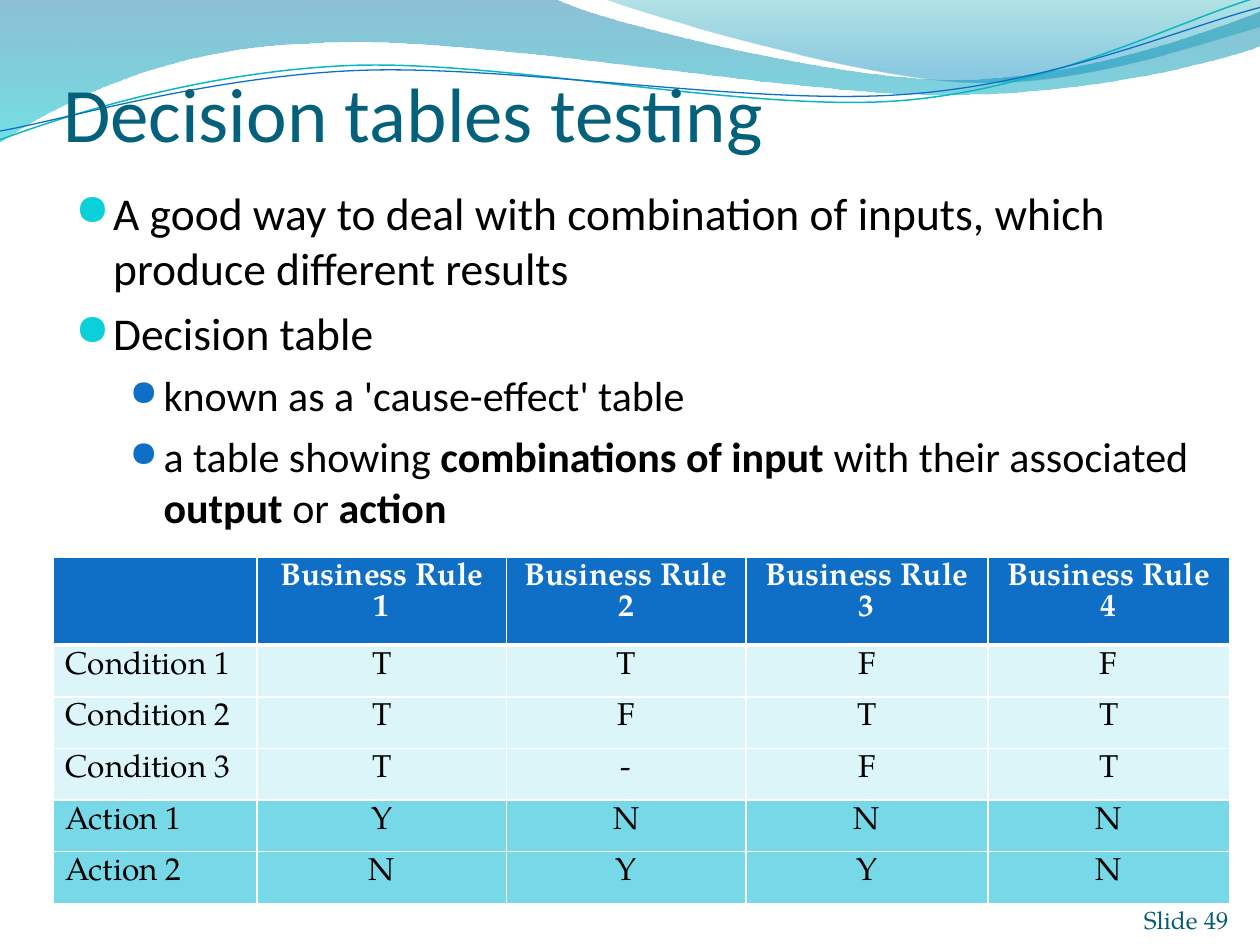
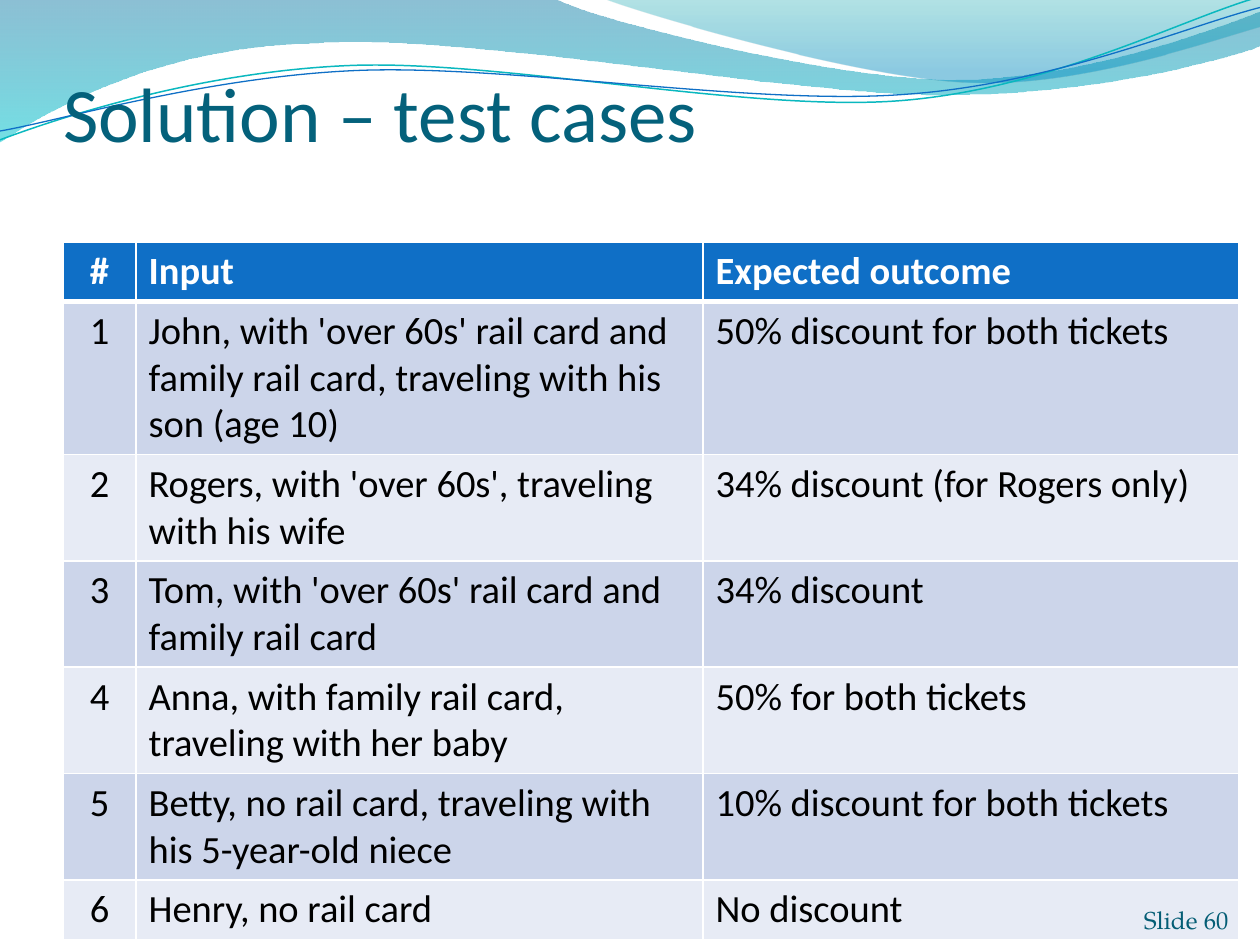
import math
import pptx
import pptx.util
import pptx.dml.color
import pptx.enum.text
import pptx.oxml
import pptx.oxml.ns

PX = 9144
SANS, SERIF = "Calibri", "TeX Gyre Pagella"
BLUE, TEAL, INK, WHITE = "0F6FC6", "0BD0D9", "000000", "FFFFFF"
NS = pptx.oxml.ns.nsdecls("a")
ALIGN = pptx.enum.text.PP_ALIGN
ANCHOR = pptx.enum.text.MSO_ANCHOR
FIT = pptx.enum.text.MSO_AUTO_SIZE
Pt = pptx.util.Pt


def hue(spot, code):
    spot.rgb = pptx.dml.color.RGBColor.from_string(code)


def put(thing, form):
    for key, val in form.items():
        setattr(thing, key, val)


deck = pptx.Presentation()
put(deck, {"slide_width": 1000 * PX, "slide_height": 750 * PX})
head = {"left": 50 * PX, "top": 42 * PX, "width": 917 * PX, "height": 83 * PX}
frame = {"word_wrap": True, "auto_size": FIT.NONE, "vertical_anchor": ANCHOR.BOTTOM,
         "margin_left": 0, "margin_right": 0, "margin_bottom": 0}

pages = []
for name, page in (("Decision tables testing", 49), ("Solution – test cases", 60)):
    slide = deck.slides.add_slide(deck.slide_layouts[5])
    title = slide.shapes.title
    put(title, head)
    title.text = name
    put(title.text_frame, {**frame, "margin_top": 5 * PX})
    line = title.text_frame.paragraphs[0]
    line.alignment = ALIGN.LEFT
    font = line.runs[0].font
    put(font, {"size": Pt(44), "name": SANS})
    hue(font.color, "04617B")
    pages.append((slide, page))
first, last = pages[0][0], pages[1][0]

TILT = 2.7
waves = [
    {"start": (0, 0), "parts": [
        (440, -1), (476, 17, 664, 63, 758, 63), (853, 63, 958, 26, 1000, 9),
        (1001, 36), (983, 44, 870, 76, 746, 75), (622, 75, 382, 28, 257, 34),
        (129, 36, 46, 83, -1, 113), (0, 0)],
     "stops": [(0, "0074A1", 45), (1, "00C6CF", 55)]},
    {"start": (479, -1), "parts": [
        (509, 11, 682, 62, 769, 65), (856, 69, 961, 32, 1000, 21), (1000, 0), (479, -1)],
     "stops": [(0, "00A1A9", 30), (0.8, "008BBF", 45)]},
    {"start": (0, 111), "parts": [
        (48, 93, 158, 57, 277, 52), (395, 47, 593, 89, 713, 80),
        (833, 71, 938, 15, 998, -2)],
     "line": ("0AB8BF", 0.85), "hub": (499, 58)},
    {"start": (0, 104), "parts": [
        (47, 96, 164, 61, 283, 56), (403, 51, 597, 84, 717, 75),
        (836, 67, 941, 21, 1000, 6)],
     "line": (BLUE, 0.75), "hub": (500, 59)},
]
for rank, wave in enumerate(waves):
    dots = [wave["start"]]
    for part in wave["parts"]:
        dots += zip(part[::2], part[1::2])
    if "hub" in wave:
        mid_x, mid_y = wave["hub"]
        cos, sin = math.cos(math.radians(TILT)), math.sin(math.radians(TILT))
        dots = [(mid_x + (x - mid_x) * cos - (y - mid_y) * sin,
                 mid_y + (x - mid_x) * sin + (y - mid_y) * cos) for x, y in dots]
    dots = [(x * PX, y * PX) for x, y in dots]
    pen = first.shapes.build_freeform(*dots[0], scale=1.0)
    pen.add_line_segments(dots[1:], close="stops" in wave)
    shape = pen.convert_to_shape()
    legs = iter(shape.element.xpath(".//a:lnTo"))
    for part in wave["parts"]:
        group = [next(legs) for _ in range(len(part) // 2)]
        if len(group) == 3:
            bend = pptx.oxml.parse_xml(f"<a:cubicBezTo {NS}/>")
            group[0].addprevious(bend)
            for leg in group:
                bend.append(leg[0])
                leg.getparent().remove(leg)
    shape.shadow.inherit = False
    if "stops" in wave:
        shape.line.fill.background()
        shape.fill.gradient()
        shape.fill.gradient_angle = 270
        for stop, (place, code, alpha) in zip(shape.fill.gradient_stops, wave["stops"]):
            stop.position = place
            hue(stop.color, code)
        tints = shape.element.xpath(".//a:gradFill//a:srgbClr")
        for tint, (place, code, alpha) in zip(tints, wave["stops"]):
            tint.append(pptx.oxml.parse_xml(f'<a:alpha {NS} val="{alpha * 1000}"/>'))
    else:
        code, width = wave["line"]
        shape.rotation = 360 - TILT
        shape.fill.background()
        hue(shape.line.color, code)
        shape.line.width = Pt(width)
    shape.element.xpath(".//p:cNvPr")[0].set("id", str(20 + rank))
    deck.slide_master.shapes.element.insert(2 + rank, shape.element)

levels = [
    {"size": 26, "edge": 30, "hang": 30, "dot": TEAL, "scale": 95},
    {"size": 24, "edge": 70, "hang": 27, "dot": BLUE, "scale": 85},
]
points = [
    (0, ["A good way to deal with combination of inputs, which produce different results"]),
    (0, ["Decision table"]),
    (1, ["known as a 'cause-effect' table"]),
    (1, ["a table showing ", "combinations of input", " with their associated ",
         "output", " or ", "action"]),
]
body = first.shapes.add_textbox(50 * PX, 142 * PX, 917 * PX, 575 * PX).text_frame
body.word_wrap = True
for rank, (depth, parts) in enumerate(points):
    look = levels[depth]
    para = body.add_paragraph() if rank else body.paragraphs[0]
    para.level = depth
    props = para._p.get_or_add_pPr()
    props.set("marL", str(look["edge"] * PX))
    props.set("indent", str(-look["hang"] * PX))
    for mark in (f'<a:buClr {NS}><a:srgbClr val="{look["dot"]}"/></a:buClr>',
                 f'<a:buSzPct {NS} val="{look["scale"] * 1000}"/>',
                 f'<a:buFont {NS} typeface="OpenSymbol"/>',
                 f'<a:buChar {NS} char="●"/>'):
        props.append(pptx.oxml.parse_xml(mark))
    para.space_before = Pt(6 if rank else 0)
    for turn, words in enumerate(parts):
        run = para.add_run()
        run.text = words
        put(run.font, {"size": Pt(look["size"]), "name": SANS, "bold": turn % 2 == 1})
        hue(run.font.color, INK)

PALE, DEEP = "DBF5F9", "77D9E8"
ODD, EVEN = "CCD5EA", "E7EBF5"
grids = [
    {"slide": first, "left": 42, "top": 442, "cols": [162, 198, 190, 192, 192],
     "size": 18, "face": SERIF, "mid": {1, 2, 3, 4},
     "fills": [BLUE, PALE, PALE, PALE, DEEP, DEEP],
     "rows": [
         [""] + [f"Business Rule {rule}" for rule in range(1, 5)],
         ["Condition 1", *"TTFF"],
         ["Condition 2", *"TFTT"],
         ["Condition 3", *"T-FT"],
         ["Action 1", *"YNNN"],
         ["Action 2", *"NYYN"]]},
    {"slide": last, "left": 50, "top": 192, "cols": [58, 450, 425],
     "size": 22, "face": SANS, "mid": {0},
     "fills": [BLUE] + [ODD, EVEN] * 3,
     "rows": [
         ["#", "Input", "Expected outcome"],
         ["1", "John, with 'over 60s' rail card and family rail card, traveling with his son (age 10)",
          "50% discount for both tickets"],
         ["2", "Rogers, with 'over 60s', traveling with his wife", "34% discount (for Rogers only)"],
         ["3", "Tom, with 'over 60s' rail card and family rail card", "34% discount"],
         ["4", "Anna, with family rail card, traveling with her baby", "50% for both tickets"],
         ["5", "Betty, no rail card, traveling with his 5-year-old niece",
          "10% discount for both tickets"],
         ["6", "Henry, no rail card", "No discount"]]},
]
for grid in grids:
    rows, cols = grid["rows"], grid["cols"]
    table = grid["slide"].shapes.add_table(
        len(rows), len(cols), grid["left"] * PX, grid["top"] * PX,
        sum(cols) * PX, len(rows) * 41 * PX).table
    table.horz_banding = False
    for col, width in zip(table.columns, cols):
        col.width = width * PX
    for r, row in enumerate(rows):
        for c, words in enumerate(row):
            cell = table.cell(r, c)
            cell.fill.solid()
            hue(cell.fill.fore_color, grid["fills"][r])
            thick = {"L": 1, "R": 1, "T": 3 if r == 1 else 1, "B": 1 if r else 3}
            for spot, (side, width) in enumerate(thick.items()):
                cell._tc.get_or_add_tcPr().insert(spot, pptx.oxml.parse_xml(
                    f'<a:ln{side} {NS} w="{Pt(width)}"><a:solidFill>'
                    f'<a:srgbClr val="{WHITE}"/></a:solidFill></a:ln{side}>'))
            para = cell.text_frame.paragraphs[0]
            para.alignment = ALIGN.CENTER if c in grid["mid"] else ALIGN.LEFT
            if words:
                run = para.add_run()
                run.text = words
                put(run.font, {"size": Pt(grid["size"]), "name": grid["face"], "bold": r == 0})
                hue(run.font.color, INK if r else WHITE)
            else:
                para._p.append(pptx.oxml.parse_xml(
                    f'<a:endParaRPr {NS} sz="{grid["size"] * 100}">'
                    f'<a:latin typeface="{grid["face"]}"/></a:endParaRPr>'))

for slide, page in pages:
    foot = slide.shapes.add_textbox(892 * PX, 702 * PX, 83 * PX, 40 * PX).text_frame
    put(foot, {**frame, "margin_top": 0})
    para = foot.paragraphs[0]
    para.alignment = ALIGN.RIGHT
    run = para.add_run()
    run.text = f"Slide {page}"
    put(run.font, {"size": Pt(14), "name": SERIF})
    hue(run.font.color, "045D75")

deck.save("out.pptx")
